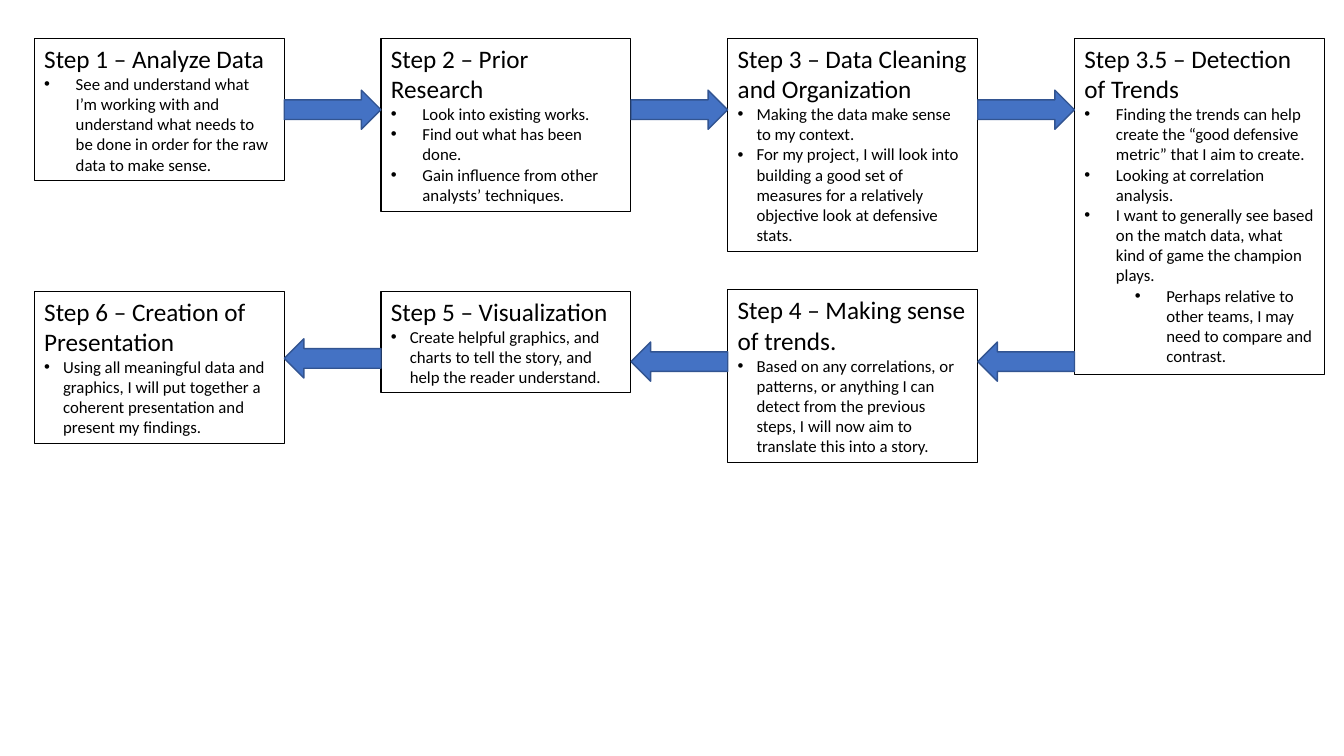
from dataclasses import dataclass

from lxml import etree
from pptx import Presentation
from pptx.dml.color import RGBColor
from pptx.enum import shapes, text
from pptx.oxml import ns
from pptx.util import Pt

COLORS = {"ink": "000000", "arrow": "4472C4", "arrow_edge": "325491"}
FONT = "Calibri"
LEFT, PITCH, BOX_WIDTH = 24.48, 247.68, 178.56
GAP = PITCH - BOX_WIDTH
ARROW_HEIGHT = 28
TOP_ROW, BOTTOM_ROW = 27.4, 208
WIDE, NARROW = 22.5, 13.5
SUB_INDENT = 36


@dataclass(frozen=True)
class Bullet:
    wording: str
    level: int = 0


@dataclass(frozen=True)
class Step:
    title: str
    column: int
    top: float
    height: float
    hang: float
    bullets: tuple[Bullet, ...]


@dataclass(frozen=True)
class Arrow:
    column: int
    top: float
    rotation: int = 0


STEPS = (
    Step("Step 1 – Analyze Data", 0, TOP_ROW, 101.8, WIDE, (
        Bullet("See and understand what I’m working with and understand what needs "
               "to be done in order for the raw data to make sense."),
    )),
    Step("Step 2 – Prior Research", 1, TOP_ROW, 123.6, WIDE, (
        Bullet("Look into existing works."),
        Bullet("Find out what has been done."),
        Bullet("Gain influence from other analysts’ techniques."),
    )),
    Step("Step 3 – Data Cleaning and Organization", 2, TOP_ROW, 152.6, NARROW, (
        Bullet("Making the data make sense to my context."),
        Bullet("For my project, I will look into building a good set of measures "
               "for a relatively objective look at defensive stats."),
    )),
    Step("Step 3.5 – Detection of Trends", 3, TOP_ROW, 239.8, WIDE, (
        Bullet("Finding the trends can help create the “good defensive metric” "
               "that I aim to create."),
        Bullet("Looking at correlation analysis."),
        Bullet("I want to generally see based on the match data, what kind of game "
               "the champion plays."),
        Bullet("Perhaps relative to other teams, I may need to compare and contrast.", 1),
    )),
    Step("Step 4 – Making sense of trends.", 2, 207, 123.6, NARROW, (
        Bullet("Based on any correlations, or patterns, or anything I can detect from "
               "the previous steps, I will now aim to translate this into a story."),
    )),
    Step("Step 5 – Visualization", 1, BOTTOM_ROW, 72.7, NARROW, (
        Bullet("Create helpful graphics, and charts to tell the story, and help the "
               "reader understand."),
    )),
    Step("Step 6 – Creation of Presentation", 0, BOTTOM_ROW, 109, NARROW, (
        Bullet("Using all meaningful data and graphics, I will put together a "
               "coherent presentation and present my findings."),
    )),
)

ARROWS = (
    *(Arrow(column, 64.4) for column in range(3)),
    Arrow(2, 244.3, 180),
    Arrow(1, 244.3, 180),
    Arrow(0, 242, 180),
)


def color(name: str) -> RGBColor:
    return RGBColor.from_string(COLORS[name])


def column_left(column: int) -> float:
    return LEFT + PITCH * column


def set_font(para, size: float) -> None:
    para.font.name = FONT
    para.font.size = Pt(size)
    para.font.color.rgb = color("ink")


def add_bullet(frame, bullet: Bullet, hang: float) -> None:
    para = frame.add_paragraph()
    para.text = bullet.wording
    para.level = bullet.level
    properties = para._p.get_or_add_pPr()
    properties.set("marL", str(Pt(hang + SUB_INDENT * bullet.level)))
    properties.set("indent", str(Pt(-hang)))
    etree.SubElement(properties, ns.qn("a:buFont"), typeface="Arial")
    etree.SubElement(properties, ns.qn("a:buChar"), char="•")
    set_font(para, 12)


def draw_step(page, step: Step) -> None:
    box = page.shapes.add_textbox(
        Pt(column_left(step.column)), Pt(step.top), Pt(BOX_WIDTH), Pt(step.height))
    box.line.color.rgb = color("ink")
    box.line.width = Pt(0.75)
    frame = box.text_frame
    frame.word_wrap = True
    frame.auto_size = text.MSO_AUTO_SIZE.SHAPE_TO_FIT_TEXT
    title = frame.paragraphs[0]
    title.text = step.title
    set_font(title, 18)
    for bullet in step.bullets:
        add_bullet(frame, bullet, step.hang)


def draw_arrow(page, arrow: Arrow) -> None:
    shape = page.shapes.add_shape(
        shapes.MSO_SHAPE.RIGHT_ARROW,
        Pt(column_left(arrow.column) + BOX_WIDTH), Pt(arrow.top),
        Pt(GAP), Pt(ARROW_HEIGHT))
    shape.rotation = arrow.rotation
    shape.shadow.inherit = False
    shape.fill.solid()
    shape.fill.fore_color.rgb = color("arrow")
    shape.line.color.rgb = color("arrow_edge")
    shape.line.width = Pt(1)


deck = Presentation()
deck.slide_width, deck.slide_height = Pt(960), Pt(540)
page = deck.slides.add_slide(deck.slide_layouts[6])
for step in STEPS:
    draw_step(page, step)
for arrow in ARROWS:
    draw_arrow(page, arrow)
deck.save("out.pptx")
